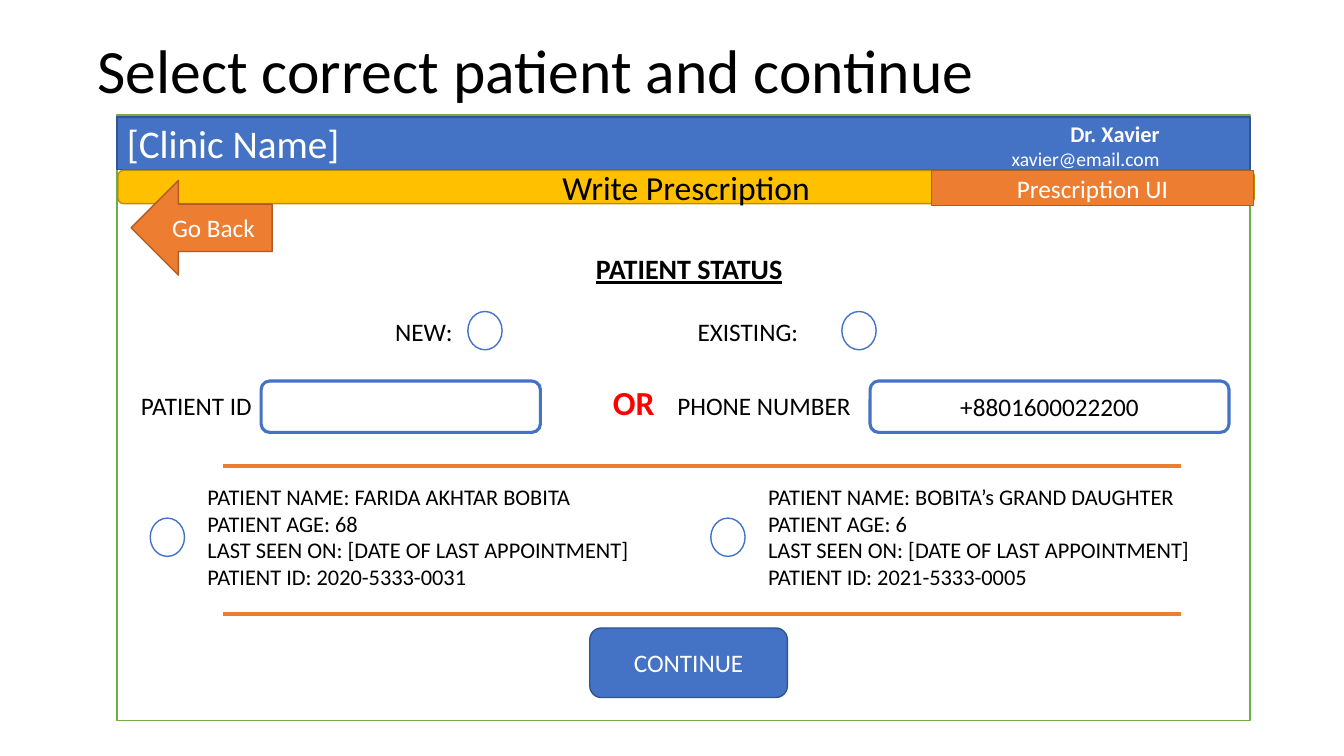
from lxml.etree import SubElement
from pptx import Presentation
from pptx.dml.color import RGBColor
from pptx.enum.shapes import MSO_CONNECTOR as Link, MSO_SHAPE as Kind
from pptx.enum.text import MSO_ANCHOR as Anchor, PP_ALIGN as Align
from pptx.oxml.ns import qn
from pptx.util import Inches, Pt

BLUE, NAVY = "4472C4", "325491"
ORANGE, RUST = "ED7D31", "AF5C24"
GOLD, BROWN = "FFC000", "BD8E00"
WHITE, BLACK, RED, GREEN = "FFFFFF", "000000", "FF0000", "70AD47"


def hue(code):
    return RGBColor.from_string(code)


def place(*box):
    return [Inches(size) for size in box]


def write(shape, text, size=18, color=BLACK, bold=False, under=False,
          align=Align.LEFT, space=1.0):
    frame = shape.text_frame
    para = frame.paragraphs[0]
    if para.runs:
        para = frame.add_paragraph()
    para.alignment = align
    para.line_spacing = space
    run = para.add_run()
    run.text = text
    font = run.font
    font.name = "Calibri"
    font.size = Pt(size)
    font.bold = bold
    font.underline = under
    font.color.rgb = hue(color)


def label(slide, box, anchor=Anchor.TOP):
    shape = slide.shapes.add_textbox(*place(*box))
    shape.text_frame.word_wrap = True
    shape.text_frame.vertical_anchor = anchor
    return shape


def block(slide, kind, box, fill=WHITE, edge=BLUE, width=1):
    shape = slide.shapes.add_shape(kind, *place(*box))
    shape.shadow.inherit = False
    shape.fill.solid()
    shape.fill.fore_color.rgb = hue(fill)
    shape.line.color.rgb = hue(edge)
    shape.line.width = Pt(width)
    shape.text_frame.word_wrap = True
    shape.text_frame.vertical_anchor = Anchor.MIDDLE
    return shape


def radio(slide, x, y):
    block(slide, Kind.OVAL, (x, y, 0.34, 0.38))


def rule(slide, x, y, width):
    line = slide.shapes.add_connector(Link.STRAIGHT, *place(x, y, x + width, y))
    line.line.color.rgb = hue(ORANGE)
    line.line.width = Pt(3)
    SubElement(line._element.spPr, qn("a:effectLst"))


def title(slide, x, y, w, h):
    head = label(slide, (x, y, w, h), Anchor.MIDDLE)
    write(head, "Select correct patient and continue", size=44, space=0.9)


def header(slide, x, y, w):
    clinic = block(slide, Kind.RECTANGLE, (x, y + 0.02, w, 0.52), BLUE, NAVY)
    write(clinic, "[Clinic Name]", size=28, color=WHITE)
    doctor = label(slide, (x + 8.41, y, 2.03, 0.61))
    write(doctor, "Dr. Xavier", size=16, color=WHITE, bold=True, align=Align.RIGHT)
    write(doctor, "xavier@email.com", size=14, color=WHITE, align=Align.RIGHT)
    task = block(slide, Kind.ROUNDED_RECTANGLE, (x + 0.01, y + 0.55, 11.27, 0.33),
                 GOLD, BROWN)
    write(task, "Write Prescription", size=24, align=Align.CENTER)
    tab = block(slide, Kind.RECTANGLE, (x + 8.08, y + 0.55, 3.19, 0.35), ORANGE, RUST)
    write(tab, "Prescription UI", color=WHITE, align=Align.CENTER)
    back = block(slide, Kind.LEFT_ARROW, (x + 0.14, y + 0.65, 1.4, 0.94), ORANGE, RUST)
    write(back, "Go Back", color=WHITE, align=Align.CENTER)


def status(slide, x, y, w):
    head = label(slide, (x, y, w, 0.44))
    write(head, "PATIENT STATUS", size=20, bold=True, under=True, align=Align.CENTER)
    for name, left, dot in (("NEW:", 0, 0.82), ("EXISTING:", 3, 4.53)):
        write(label(slide, (x + left, y + 0.64, 1.5, 0.4), Anchor.MIDDLE), name)
        radio(slide, x + dot, y + 0.64)


def search(slide, x, y):
    fields = (("PATIENT ID", 0, 1.29, 2.77, ""),
              ("PHONE NUMBER", 5.32, 7.33, 3.56, "+8801600022200"))
    for name, left, start, width, value in fields:
        write(label(slide, (x + left, y, 2.1, 0.48), Anchor.MIDDLE), name)
        field = block(slide, Kind.ROUNDED_RECTANGLE, (x + start, y, width, 0.51),
                      width=2.25)
        if value:
            write(field, value, align=Align.CENTER)
    either = label(slide, (x + 4.68, y - 0.03, 0.8, 0.48), Anchor.MIDDLE)
    write(either, "OR", size=24, color=RED, bold=True)


def patient(slide, x, y, name, age, code):
    radio(slide, x, y + 0.4)
    facts = label(slide, (x + 0.47, y, 4.67, 1.18))
    for text in (f"PATIENT NAME: {name}", f"PATIENT AGE: {age}",
                 "LAST SEEN ON: [DATE OF LAST APPOINTMENT]", f"PATIENT ID: {code}"):
        write(facts, text, size=16)


def results(slide, x, y):
    for top in (0, 1.47):
        rule(slide, x + 0.72, y + top, 9.5)
    people = (("FARIDA AKHTAR BOBITA", 68, "2020-5333-0031"),
              ("BOBITA’s GRAND DAUGHTER", 6, "2021-5333-0005"))
    for col, facts in enumerate(people):
        patient(slide, x + 5.56 * col, y + 0.12, *facts)


def screen(slide, x, y, w, h):
    block(slide, Kind.RECTANGLE, (x, y, w, h), edge=GREEN)
    header(slide, x, y, w)
    status(slide, x + 2.66, y + 1.31, 6.03)
    search(slide, x + 0.14, y + 2.64)
    results(slide, x + 0.33, y + 3.48)
    button = block(slide, Kind.ROUNDED_RECTANGLE, (x + 4.69, y + 5.09, 1.96, 0.69),
                   BLUE, NAVY)
    write(button, "CONTINUE", color=WHITE, align=Align.CENTER)


def main():
    deck = Presentation()
    deck.slide_width, deck.slide_height = place(13.33, 7.5)
    slide = deck.slides.add_slide(deck.slide_layouts[6])
    title(slide, 0.87, 0, 11.5, 1.45)
    screen(slide, 1.16, 1.14, 11.24, 6.01)
    deck.save("out.pptx")


if __name__ == "__main__":
    main()
